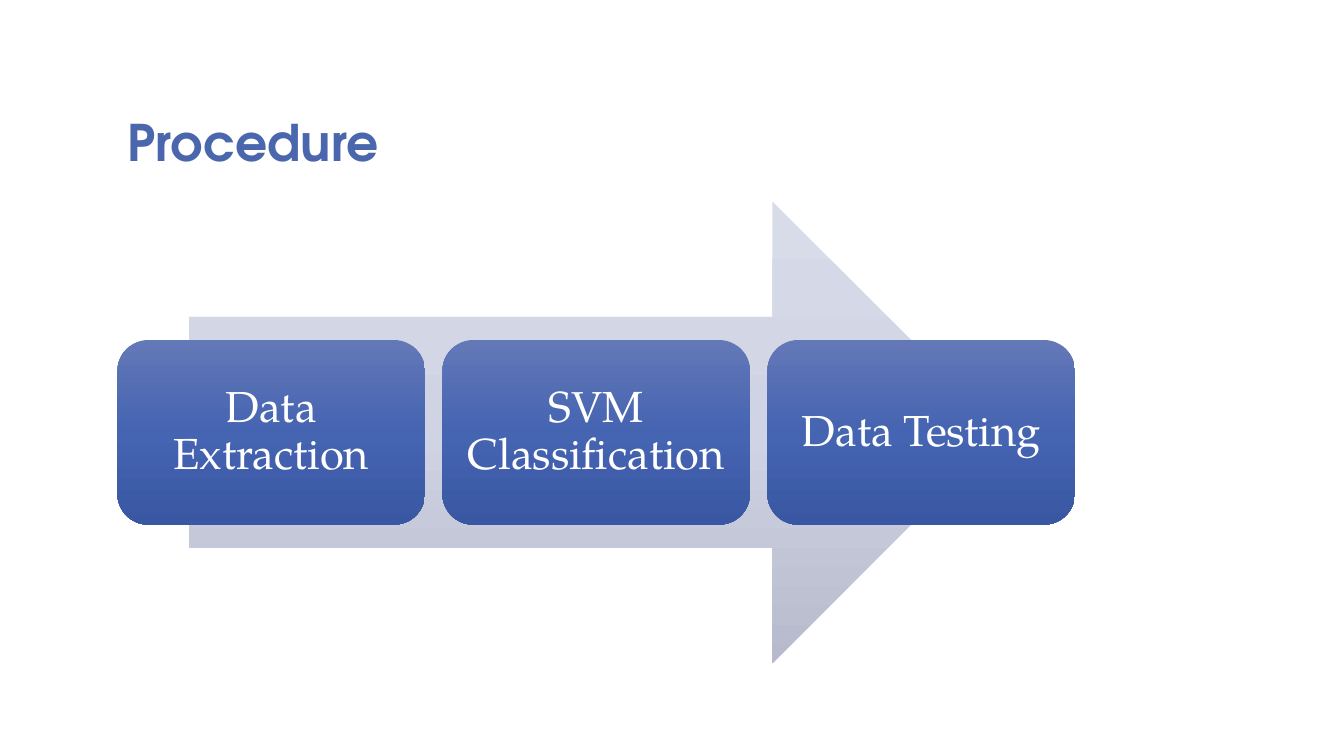
import copy

import pptx
import pptx.dml.color
import pptx.enum.shapes
import pptx.enum.text
import pptx.oxml.ns
import pptx.util

Cm, Pt = pptx.util.Cm, pptx.util.Pt
SHAPES = pptx.enum.shapes.MSO_SHAPE
ALIGN = pptx.enum.text.PP_ALIGN
ANCHOR = pptx.enum.text.MSO_ANCHOR

HEADING = "Procedure"
STEPS = ["Data Extraction", "SVM Classification", "Data Testing"]

COLOURS = {
    "heading": "4A66AC",
    "step_text": "FFFFFF",
    "arrow": ("D8DBE8", "CFD3E3", "B6BACC"),
    "step": ("6378B7", "4564B1", "3957A2"),
}
HEADING_FONT = "TeX Gyre Adventor"
STEP_FONT = "TeX Gyre Pagella"

# Lengths in centimetres
LEFT, WIDTH = 2.96, 24.13
ARROW_TOP, ARROW_HEIGHT = 5.08, 11.63
ARROW_WIDTH = WIDTH * 0.85
STEP_WIDTH, STEP_HEIGHT = 7.75, ARROW_HEIGHT * 0.4
STEP_PITCH = (WIDTH - STEP_WIDTH) / (len(STEPS) - 1)
STEP_TOP = ARROW_TOP + (ARROW_HEIGHT - STEP_HEIGHT) / 2
STEP_INSET = 0.33


def rgb(hex_colour):
    return pptx.dml.color.RGBColor.from_string(hex_colour)


def add_graded_shape(slide, preset, box, colours):
    """Add a borderless shape whose evenly spaced colours run from top to bottom."""
    shape = slide.shapes.add_shape(preset, *(Cm(length) for length in box))
    shape.shadow.inherit = False
    shape.line.fill.background()
    shape.fill.gradient()
    shape.fill.gradient_angle = 270
    stop_list = shape._element.spPr.find(".//" + pptx.oxml.ns.qn("a:gsLst"))
    stop_list.insert(1, copy.deepcopy(stop_list[0]))
    for i, (stop, colour) in enumerate(zip(shape.fill.gradient_stops, colours)):
        stop.color.rgb = rgb(colour)
        stop.position = i / (len(colours) - 1)
    return shape


def write(frame, text, font, size, colour, align, spacing, bold=False):
    frame.word_wrap = True
    frame.auto_size = pptx.enum.text.MSO_AUTO_SIZE.NONE
    paragraph = frame.paragraphs[0]
    paragraph.alignment = align
    paragraph.line_spacing = spacing
    run = paragraph.add_run()
    run.text = text
    run.font.name = font
    run.font.size = Pt(size)
    run.font.bold = bold
    run.font.color.rgb = rgb(colour)


def main():
    deck = pptx.Presentation()
    deck.slide_width, deck.slide_height = Cm(33.87), Cm(19.05)
    slide = deck.slides.add_slide(deck.slide_layouts.get_by_name("Title Only"))

    heading = slide.shapes.title
    heading.left, heading.top = Cm(LEFT), Cm(1.47)
    heading.width, heading.height = Cm(WIDTH), Cm(2.97)
    heading.text_frame.vertical_anchor = ANCHOR.BOTTOM
    write(heading.text_frame, HEADING, HEADING_FONT, 36, COLOURS["heading"],
          ALIGN.LEFT, 0.8, bold=True)

    arrow_left = LEFT + (WIDTH - ARROW_WIDTH) / 2
    add_graded_shape(slide, SHAPES.RIGHT_ARROW,
                     (arrow_left, ARROW_TOP, ARROW_WIDTH, ARROW_HEIGHT),
                     COLOURS["arrow"])

    for i, step_name in enumerate(STEPS):
        box = (LEFT + i * STEP_PITCH, STEP_TOP, STEP_WIDTH, STEP_HEIGHT)
        step = add_graded_shape(slide, SHAPES.ROUNDED_RECTANGLE, box, COLOURS["step"])
        frame = step.text_frame
        frame.margin_left = frame.margin_right = Cm(STEP_INSET)
        frame.margin_top = frame.margin_bottom = Cm(STEP_INSET)
        frame.vertical_anchor = ANCHOR.MIDDLE
        write(frame, step_name, STEP_FONT, 31, COLOURS["step_text"], ALIGN.CENTER, 0.9)

    deck.save("out.pptx")


if __name__ == "__main__":
    main()
